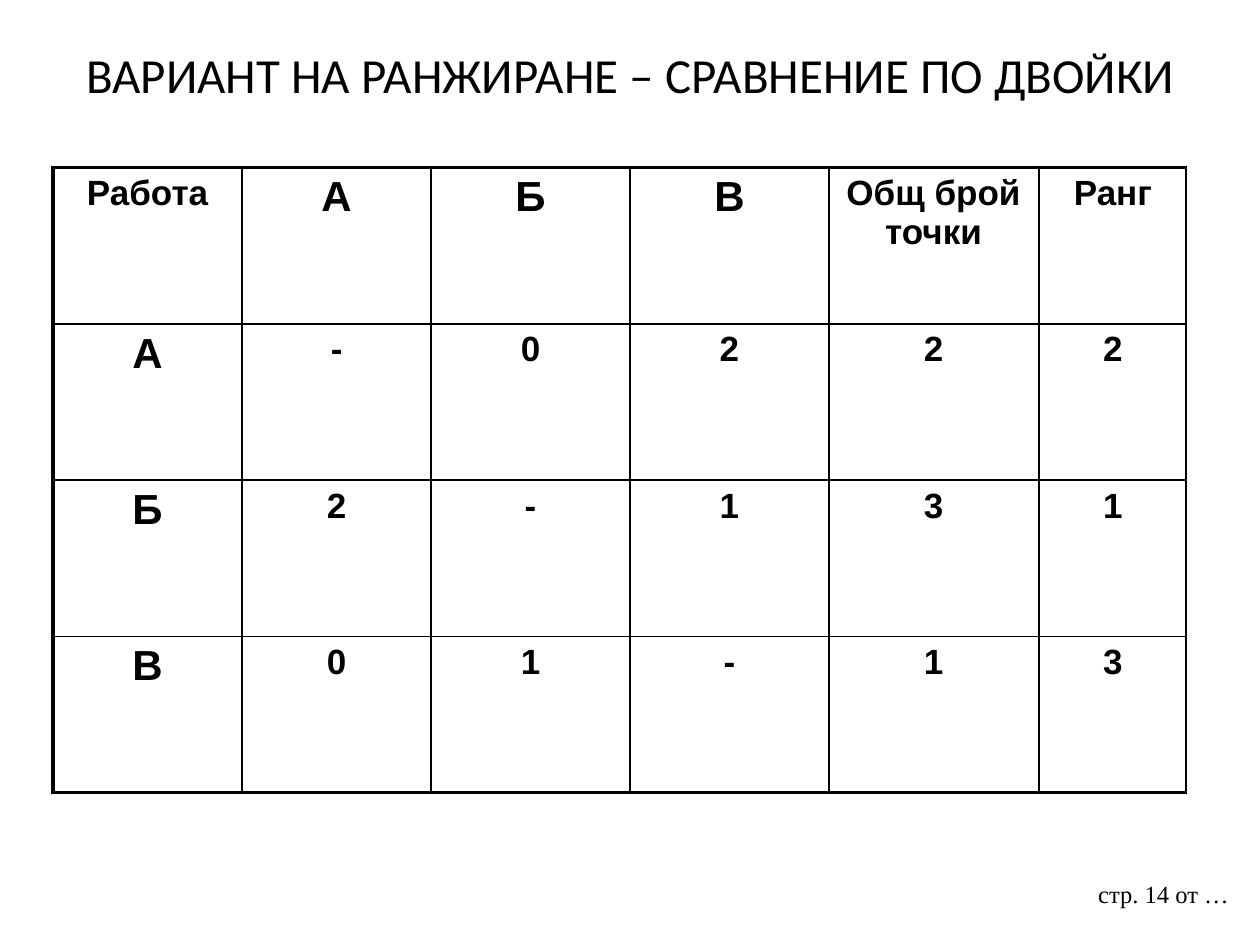
from lxml import etree
from pptx import Presentation
from pptx.dml.color import RGBColor
from pptx.enum.text import MSO_ANCHOR, PP_ALIGN
from pptx.oxml.ns import qn
from pptx.util import Cm, Pt

BLACK = RGBColor(0, 0, 0)
CENTER = PP_ALIGN.CENTER
LEFT = PP_ALIGN.LEFT
TOP = MSO_ANCHOR.TOP
THIN, THICK = 1, 2.25
ROW_HEIGHT = 3.15
TABLE_TOP = 3.38


def write_text(frame, text, *, font, size, bold=False, align=CENTER):
    frame.vertical_anchor = TOP
    para = frame.paragraphs[0]
    para.alignment = align
    span = para.add_run()
    span.text = text
    span.font.name = font
    span.font.size = Pt(size)
    span.font.bold = bold
    span.font.color.rgb = BLACK


def set_borders(cell, widths):
    properties = cell._tc.get_or_add_tcPr()
    for side in ("L", "R", "T", "B"):
        line = etree.SubElement(properties, qn("a:ln" + side),
                                w=str(Pt(widths[side])))
        fill = etree.SubElement(line, qn("a:solidFill"))
        etree.SubElement(fill, qn("a:srgbClr"), val=str(BLACK))


deck = Presentation()
deck.slide_width = Cm(25.4)
deck.slide_height = Cm(19.05)
page = deck.slides.add_slide(deck.slide_layouts[5])

# Title
title = page.shapes.title
title.left, title.top = Cm(1.27), Cm(0.76)
title.width, title.height = Cm(22.86), Cm(3.18)
write_text(title.text_frame, "ВАРИАНТ НА РАНЖИРАНЕ – СРАВНЕНИЕ ПО ДВОЙКИ",
           font="Calibri", size=28)

# Comparison table and, beside it, the rank table:
# left edge, width of left border, column widths, rows
tables = [
    (1.07, THICK, [3.81, 3.81, 4.01, 4.01, 4.22], [
        ["Работа", "А", "Б", "В", "Общ брой точки"],
        ["А", "-", "0", "2", "2"],
        ["Б", "2", "-", "1", "3"],
        ["В", "0", "1", "-", "1"],
    ]),
    (20.96, THIN, [2.95], [["Ранг"], ["2"], ["1"], ["3"]]),
]
for left, left_border, widths, rows in tables:
    table = page.shapes.add_table(
        len(rows), len(widths), Cm(left), Cm(TABLE_TOP),
        Cm(sum(widths)), Cm(ROW_HEIGHT * len(rows))).table
    table.first_row = False
    table.horz_banding = False
    for column, width in zip(table.columns, widths):
        column.width = Cm(width)
    for r, values in enumerate(rows):
        table.rows[r].height = Cm(ROW_HEIGHT)
        for c, value in enumerate(values):
            cell = table.cell(r, c)
            set_borders(cell, {
                "L": left_border if c == 0 else THIN,
                "R": THIN,
                "T": THICK if r == 0 else THIN,
                "B": THICK if r == len(rows) - 1 else THIN,
            })
            cell.fill.background()
            # The letters of the compared works are larger
            size = 24 if value in ("А", "Б", "В") else 20
            write_text(cell.text_frame, value, font="Arial", size=size, bold=True)

# Page number
box = page.shapes.add_textbox(Cm(21.89), Cm(17.6), Cm(3.3), Cm(1.32))
box.text_frame.word_wrap = False
write_text(box.text_frame, "стр. 14 от …", font="Times New Roman", size=14,
           align=LEFT)

deck.save("out.pptx")
